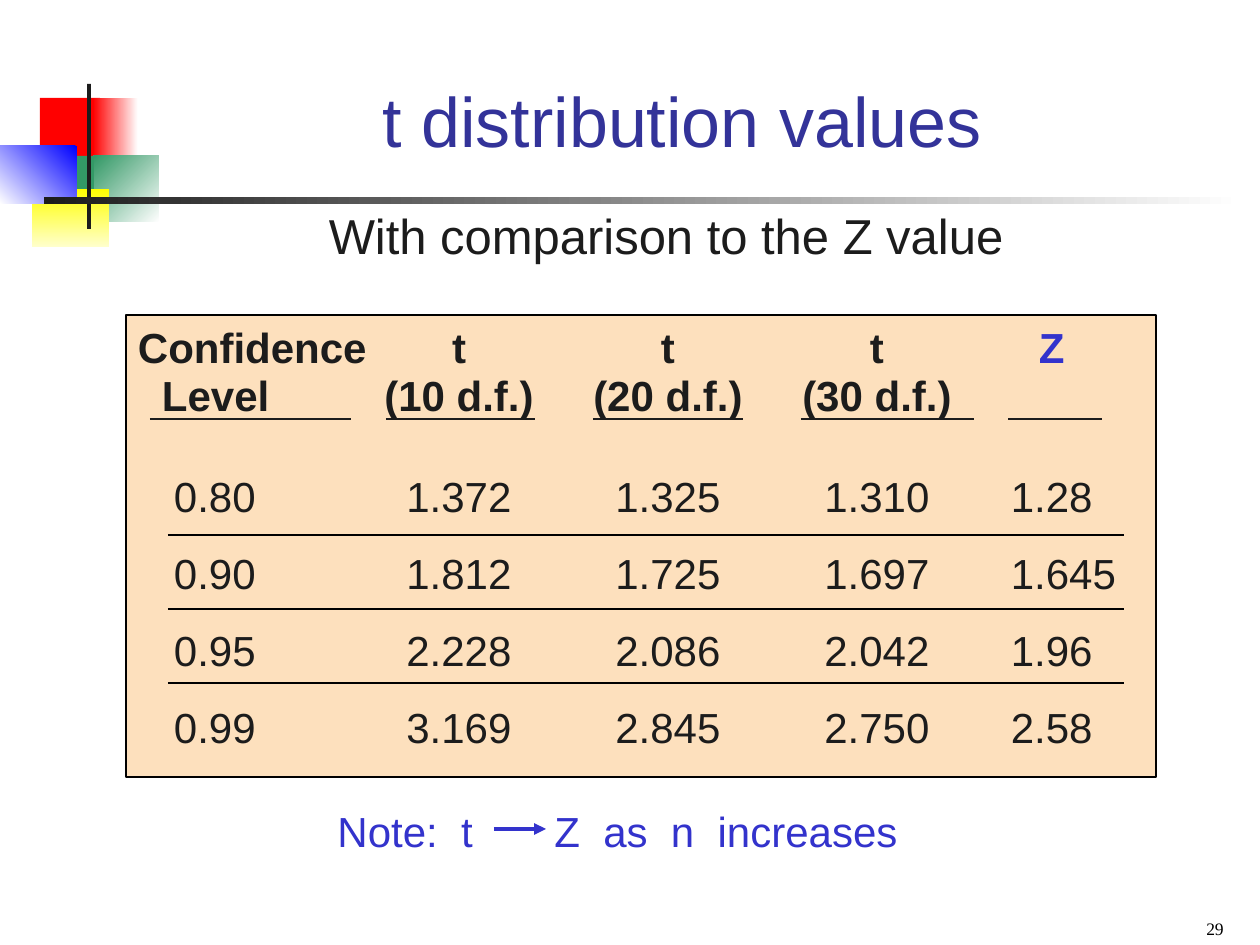
"""Build a slide comparing t distribution values with the Z value."""
from lxml import etree
from pptx import Presentation
from pptx import util as u
from pptx.dml.color import RGBColor
from pptx.enum import shapes, text
from pptx.oxml.ns import qn

COLORS = {
    "ink": "1C1C1C", "title": "333399", "accent": "3333CC", "panel": "FDE0BD",
    "black": "000000", "white": "FFFFFF", "red": "FF0000", "green": "339966",
    "yellow": "FFFF00", "cream": "FFFFCC", "blue": "0000FF",
}
TITLE = "t distribution values"
SUBTITLE = "With comparison to the Z value"
NOTE = "Note:  t\tZ  as  n  increases"
PAGE = "29"
ROWS = [
    ("Confidence", "t", "t", "t", "Z"),
    ("Level", "(10 d.f.)", "(20 d.f.)", "(30 d.f.)", ""),
    ("0.80", "1.372", "1.325", "1.310", "1.28"),
    ("0.90", "1.812", "1.725", "1.697", "1.645"),
    ("0.95", "2.228", "2.086", "2.042", "1.96"),
    ("0.99", "3.169", "2.845", "2.750", "2.58"),
]
ORNAMENT = [
    ((40, 98, 60, 66), ("red",), 0),
    ((93, 98, 45, 66), ("white", "red"), 180),
    ((94, 156, 65, 66), ("white", "green"), 225),
    ((54, 156, 40, 66), ("green",), 0),
    ((32, 189, 77, 58), ("yellow", "cream"), 90),
    ((0, 146, 77, 58), ("blue", "white"), 135),
    ((87, 84, 4, 145), ("ink",), 0),
    ((44, 197, 1198, 7), ("white", "ink"), 180),
]
PANEL = (126, 315, 1030, 462)
TABLE_TOP = 323
COLUMN_WIDTHS = (246, 174, 244, 174, 192)
ROW_HEIGHTS = (51, 85, 77, 77, 77, 77)
LEVEL_INDENTS = (12, 36, 48, 48, 48, 48)
Z_INDENTS = (75, 45, 47, 47, 47, 47)
HEADER_RULES = [(150, 351), (386, 535), (593, 743), (801, 974), (1008, 1102)]
HEADER_RULE_Y = 419
ROW_RULES = [535, 609, 683]

ALIGN = text.PP_ALIGN
ANCHOR = text.MSO_ANCHOR


def px(value):
    return u.Emu(round(value * 914400 / 126))


def rgb(name):
    return RGBColor.from_string(COLORS[name])


def add_rect(slide, box, fills, angle=0, line=None):
    rect = slide.shapes.add_shape(shapes.MSO_SHAPE.RECTANGLE, *map(px, box))
    rect.shadow.inherit = False
    if len(fills) == 1:
        rect.fill.solid()
        rect.fill.fore_color.rgb = rgb(fills[0])
    else:
        rect.fill.gradient()
        rect.fill.gradient_angle = 360 - angle
        for stop, fill in zip(rect.fill.gradient_stops, fills):
            stop.color.rgb = rgb(fill)
    if line:
        rect.line.color.rgb = rgb(line)
        rect.line.width = u.Pt(1.5)
    else:
        rect.line.fill.background()


def add_line(slide, left, right, y, color="black", width=0.75):
    line = slide.shapes.add_connector(
        shapes.MSO_CONNECTOR.STRAIGHT, px(left), px(y), px(right), px(y))
    line.line.color.rgb = rgb(color)
    line.line.width = u.Pt(width)
    etree.SubElement(line._element.spPr, qn("a:effectLst"))
    return line


def write(frame, words, size, color, align, bold=False, font="Arial"):
    paragraph = frame.paragraphs[0]
    paragraph.alignment = align
    run = paragraph.add_run()
    run.text = words
    run.font.name, run.font.size, run.font.bold = font, u.Pt(size), bold
    run.font.color.rgb = rgb(color)
    return paragraph


def add_text(slide, box, anchor=ANCHOR.TOP):
    frame = slide.shapes.add_textbox(*map(px, box)).text_frame
    frame.word_wrap = True
    frame.vertical_anchor = anchor
    return frame


def add_values(slide):
    table = slide.shapes.add_table(
        len(ROWS), len(COLUMN_WIDTHS), px(PANEL[0]), px(TABLE_TOP),
        px(sum(COLUMN_WIDTHS)), px(sum(ROW_HEIGHTS))).table
    table.first_row = table.horz_banding = False
    table._tbl.tblPr[0].text = "{2D5ABB26-0587-4C30-8999-92F81FD0307C}"
    for column, width in zip(table.columns, COLUMN_WIDTHS):
        column.width = px(width)
    for r, values in enumerate(ROWS):
        table.rows[r].height = px(ROW_HEIGHTS[r])
        indents = {0: LEVEL_INDENTS[r], len(values) - 1: Z_INDENTS[r]}
        for c, value in enumerate(values):
            cell = table.cell(r, c)
            cell.fill.background()
            cell.margin_left = px(indents.get(c, 0))
            cell.margin_right = cell.margin_top = cell.margin_bottom = 0
            cell.vertical_anchor = ANCHOR.TOP if r == 1 else ANCHOR.MIDDLE
            write(cell.text_frame, value, 24, "accent" if value == "Z" else "ink",
                  ALIGN.LEFT if c in indents else ALIGN.CENTER, bold=r < 2)


def add_note(slide):
    frame = add_text(slide, (325, 809, 609, 53))
    properties = frame.paragraphs[0]._p.get_or_add_pPr()
    tabs = etree.SubElement(properties, qn("a:tabLst"))
    etree.SubElement(tabs, qn("a:tab"), pos=str(px(217)), algn="l")
    write(frame, NOTE, 24, "accent", ALIGN.LEFT).line_spacing = 0.8
    arrow = add_line(slide, 494, 546, 829, "accent", 2.25)
    etree.SubElement(arrow.line._get_or_add_ln(), qn("a:tailEnd"), type="triangle")


def main():
    deck = Presentation()
    deck.slide_width, deck.slide_height = px(1260), px(945)
    slide = deck.slides.add_slide(deck.slide_layouts[5])
    for box, fills, angle in ORNAMENT:
        add_rect(slide, box, fills, angle)

    title = slide.shapes.title
    title.left, title.top, title.width, title.height = map(px, (262, 63, 840, 105))
    title.text_frame.vertical_anchor = ANCHOR.BOTTOM
    write(title.text_frame, TITLE, 40, "title", ALIGN.CENTER)
    subtitle = add_text(slide, (296, 199, 740, 72))
    write(subtitle, SUBTITLE, 28, "ink", ALIGN.CENTER)

    add_rect(slide, PANEL, ("panel",), line="black")
    add_values(slide)
    for left, right in HEADER_RULES:
        add_line(slide, left, right, HEADER_RULE_Y, "ink", 1)
    for y in ROW_RULES:
        add_line(slide, 168, 1124, y)

    add_note(slide)
    page = add_text(slide, (942, 901, 294, 44), anchor=ANCHOR.BOTTOM)
    write(page, PAGE, 10, "black", ALIGN.RIGHT, font="Times New Roman")
    deck.save("out.pptx")


if __name__ == "__main__":
    main()
